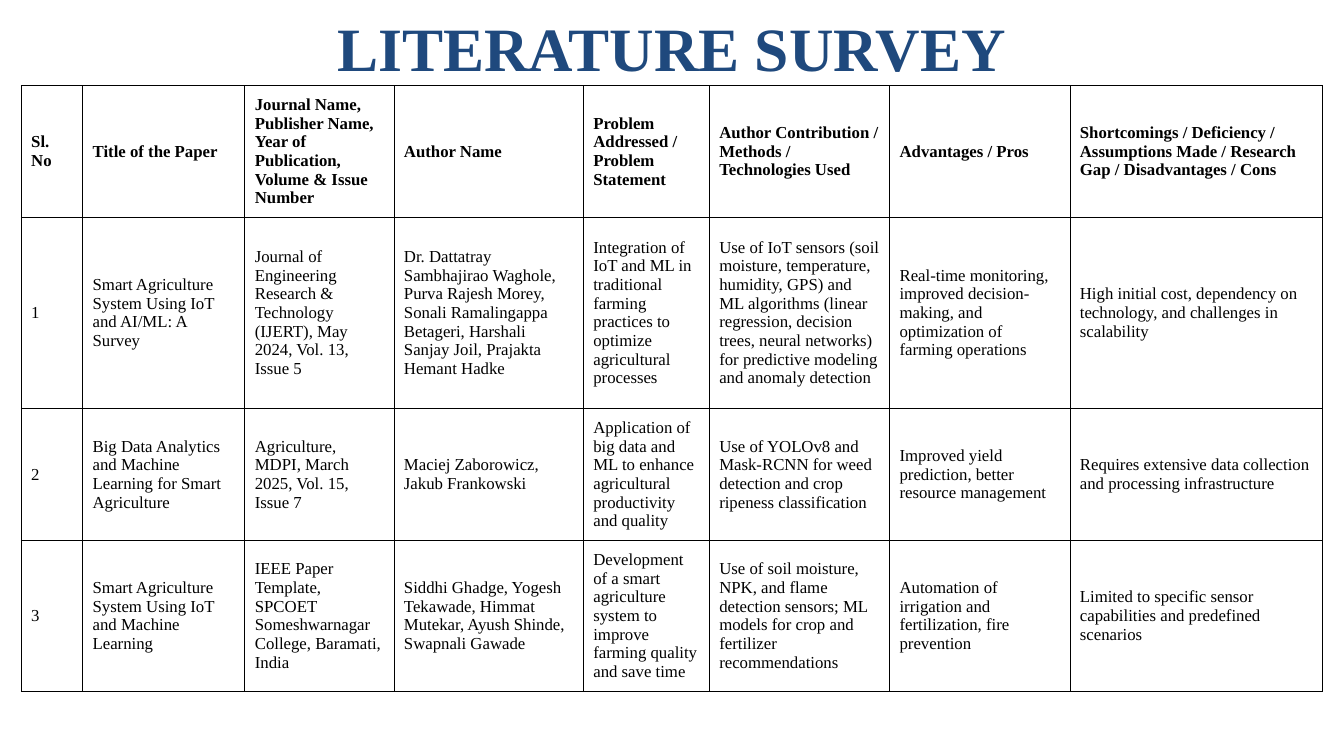
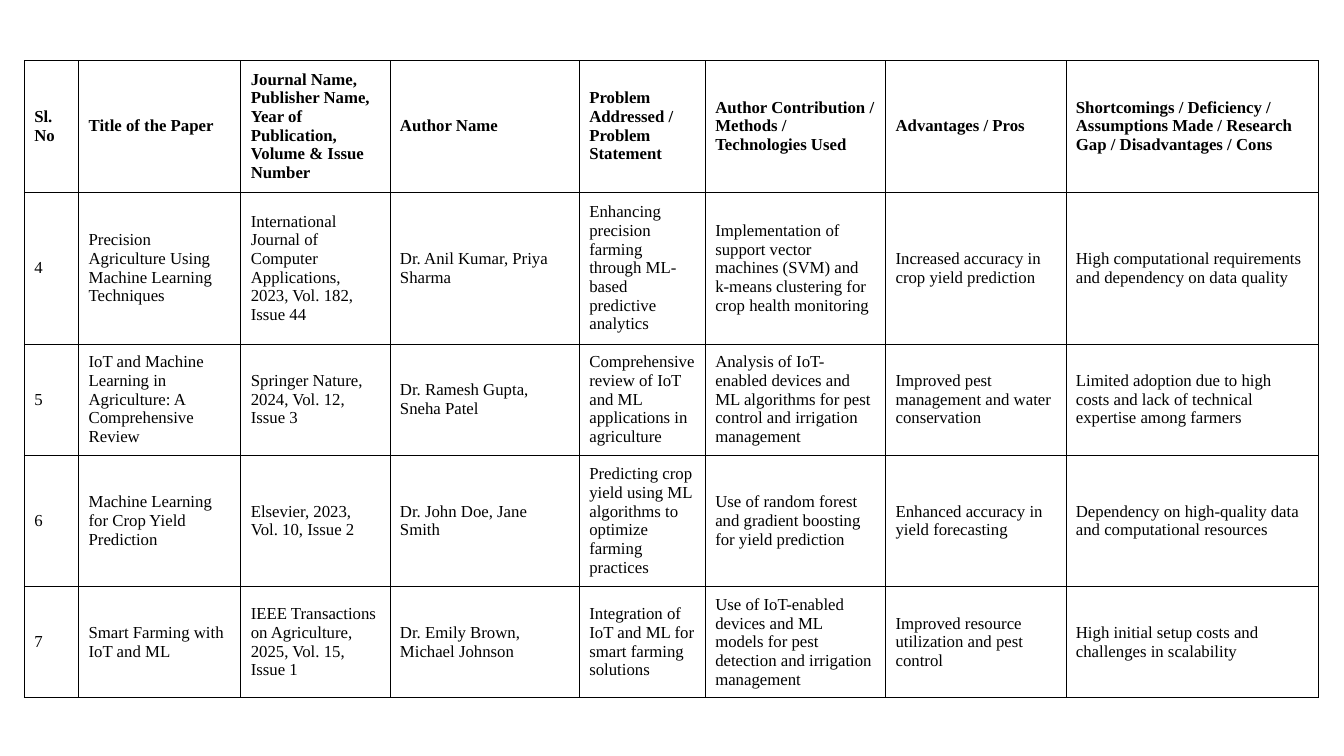
from dataclasses import dataclass

from lxml.etree import SubElement
from pptx import Presentation
from pptx.dml.color import RGBColor
from pptx.enum.text import MSO_ANCHOR as Anchor, PP_ALIGN as Align
from pptx.oxml.ns import qn
from pptx.util import Inches, Pt

CELL = Inches(0.1)
COLS, ROWS = 133.4, 75


@dataclass(frozen=True)
class Theme:
    font: str = "Times New Roman"
    title_color: str = "1F497D"
    ink: str = "000000"
    title_size: float = 44
    body_size: float = 12
    border: float = 0.45


def grid(n):
    """Length of n grid cells."""
    return round(n * CELL)


class Deck:
    def __init__(self, theme):
        self.theme = theme
        self.prs = Presentation()
        self.prs.slide_width, self.prs.slide_height = grid(COLS), grid(ROWS)
        self.s = None

    def slide(self):
        self.s = self.prs.slides.add_slide(self.prs.slide_layouts[6])

    def style(self, p, size, color, bold):
        for r in p.runs:
            r.font.name, r.font.size, r.font.bold = self.theme.font, Pt(size), bold
            r.font.color.rgb = RGBColor.from_string(color)

    def title(self, text, top=1.2, height=7, width=120):
        box = self.s.shapes.add_textbox(grid((COLS - width) / 2), grid(top),
                                        grid(width), grid(height))
        tf = box.text_frame
        tf.word_wrap, tf.vertical_anchor = True, Anchor.MIDDLE
        tf.text = text
        p = tf.paragraphs[0]
        p.alignment = Align.CENTER
        self.style(p, self.theme.title_size, self.theme.title_color, True)

    def borders(self, cell):
        tc_pr = cell.fill._xPr
        for i, side in enumerate("LRTB"):
            ln = SubElement(tc_pr, qn(f"a:ln{side}"), w=str(Pt(self.theme.border)))
            fill = SubElement(ln, qn("a:solidFill"))
            SubElement(fill, qn("a:srgbClr"), val=self.theme.ink)
            tc_pr.insert(i, ln)

    def table(self, left, top, widths, heights, rows):
        """Draw a bordered table whose first row is the bold header."""
        tbl = self.s.shapes.add_table(len(rows), len(widths), grid(left), grid(top),
                                      grid(sum(widths)), grid(sum(heights))).table
        tbl.first_row = tbl.horz_banding = False
        for col, width in zip(tbl.columns, widths):
            col.width = grid(width)
        for i, (row, height, texts) in enumerate(zip(tbl.rows, heights, rows)):
            row.height = grid(height)
            for cell, text in zip(row.cells, texts):
                cell.text_frame.text = text
                cell.vertical_anchor = Anchor.MIDDLE
                cell.fill.background()
                self.borders(cell)
                self.style(cell.text_frame.paragraphs[0], self.theme.body_size,
                           self.theme.ink, i == 0)


HEADER = (
    "Sl. No", "Title of the Paper",
    "Journal Name, Publisher Name, Year of Publication, Volume & Issue Number",
    "Author Name", "Problem Addressed / Problem Statement",
    "Author Contribution / Methods / Technologies Used", "Advantages / Pros",
    "Shortcomings / Deficiency / Assumptions Made / Research Gap / Disadvantages / Cons",
)
PAPERS = (
    ("Smart Agriculture System Using IoT and AI/ML: A Survey",
     "Journal of Engineering Research & Technology (IJERT), May 2024, Vol. 13, Issue 5",
     "Dr. Dattatray Sambhajirao Waghole, Purva Rajesh Morey, Sonali Ramalingappa "
     "Betageri, Harshali Sanjay Joil, Prajakta Hemant Hadke",
     "Integration of IoT and ML in traditional farming practices to optimize "
     "agricultural processes",
     "Use of IoT sensors (soil moisture, temperature, humidity, GPS) and ML algorithms "
     "(linear regression, decision trees, neural networks) for predictive modeling and "
     "anomaly detection",
     "Real-time monitoring, improved decision-making, and optimization of farming operations",
     "High initial cost, dependency on technology, and challenges in scalability"),
    ("Big Data Analytics and Machine Learning for Smart Agriculture",
     "Agriculture, MDPI, March 2025, Vol. 15, Issue 7",
     "Maciej Zaborowicz, Jakub Frankowski",
     "Application of big data and ML to enhance agricultural productivity and quality",
     "Use of YOLOv8 and Mask-RCNN for weed detection and crop ripeness classification",
     "Improved yield prediction, better resource management",
     "Requires extensive data collection and processing infrastructure"),
    ("Smart Agriculture System Using IoT and Machine Learning",
     "IEEE Paper Template, SPCOET Someshwarnagar College, Baramati, India",
     "Siddhi Ghadge, Yogesh Tekawade, Himmat Mutekar, Ayush Shinde, Swapnali Gawade",
     "Development of a smart agriculture system to improve farming quality and save time",
     "Use of soil moisture, NPK, and flame detection sensors; ML models for crop and "
     "fertilizer recommendations",
     "Automation of irrigation and fertilization, fire prevention",
     "Limited to specific sensor capabilities and predefined scenarios"),
    ("Precision Agriculture Using Machine Learning Techniques",
     "International Journal of Computer Applications, 2023, Vol. 182, Issue 44",
     "Dr. Anil Kumar, Priya Sharma",
     "Enhancing precision farming through ML-based predictive analytics",
     "Implementation of support vector machines (SVM) and k-means clustering for crop "
     "health monitoring",
     "Increased accuracy in crop yield prediction",
     "High computational requirements and dependency on data quality"),
    ("IoT and Machine Learning in Agriculture: A Comprehensive Review",
     "Springer Nature, 2024, Vol. 12, Issue 3",
     "Dr. Ramesh Gupta, Sneha Patel",
     "Comprehensive review of IoT and ML applications in agriculture",
     "Analysis of IoT-enabled devices and ML algorithms for pest control and irrigation "
     "management",
     "Improved pest management and water conservation",
     "Limited adoption due to high costs and lack of technical expertise among farmers"),
    ("Machine Learning for Crop Yield Prediction",
     "Elsevier, 2023, Vol. 10, Issue 2",
     "Dr. John Doe, Jane Smith",
     "Predicting crop yield using ML algorithms to optimize farming practices",
     "Use of random forest and gradient boosting for yield prediction",
     "Enhanced accuracy in yield forecasting",
     "Dependency on high-quality data and computational resources"),
    ("Smart Farming with IoT and ML",
     "IEEE Transactions on Agriculture, 2025, Vol. 15, Issue 1",
     "Dr. Emily Brown, Michael Johnson",
     "Integration of IoT and ML for smart farming solutions",
     "Use of IoT-enabled devices and ML models for pest detection and irrigation management",
     "Improved resource utilization and pest control",
     "High initial setup costs and challenges in scalability"),
)
FIRST_PAGE = 3
DETAIL_WIDTHS = (16.1, 14.8, 18.8, 12.5, 17.9, 17.9, 25.1)
HEADER_HEIGHT = 13.05


def main():
    deck = Deck(Theme())
    numbered = [(str(n), *paper) for n, paper in enumerate(PAPERS, 1)]

    deck.slide()
    deck.title("LITERATURE SURVEY")
    deck.table(2.1, 8.5, (6.1, *DETAIL_WIDTHS), (HEADER_HEIGHT, 19, 13.05, 15),
               [HEADER, *numbered[:FIRST_PAGE]])

    deck.slide()
    deck.table(2.4, 6, (5.4, *DETAIL_WIDTHS), (HEADER_HEIGHT, 15.1, 11, 13.05, 11),
               [HEADER, *numbered[FIRST_PAGE:]])

    deck.prs.save("out.pptx")


if __name__ == "__main__":
    main()
